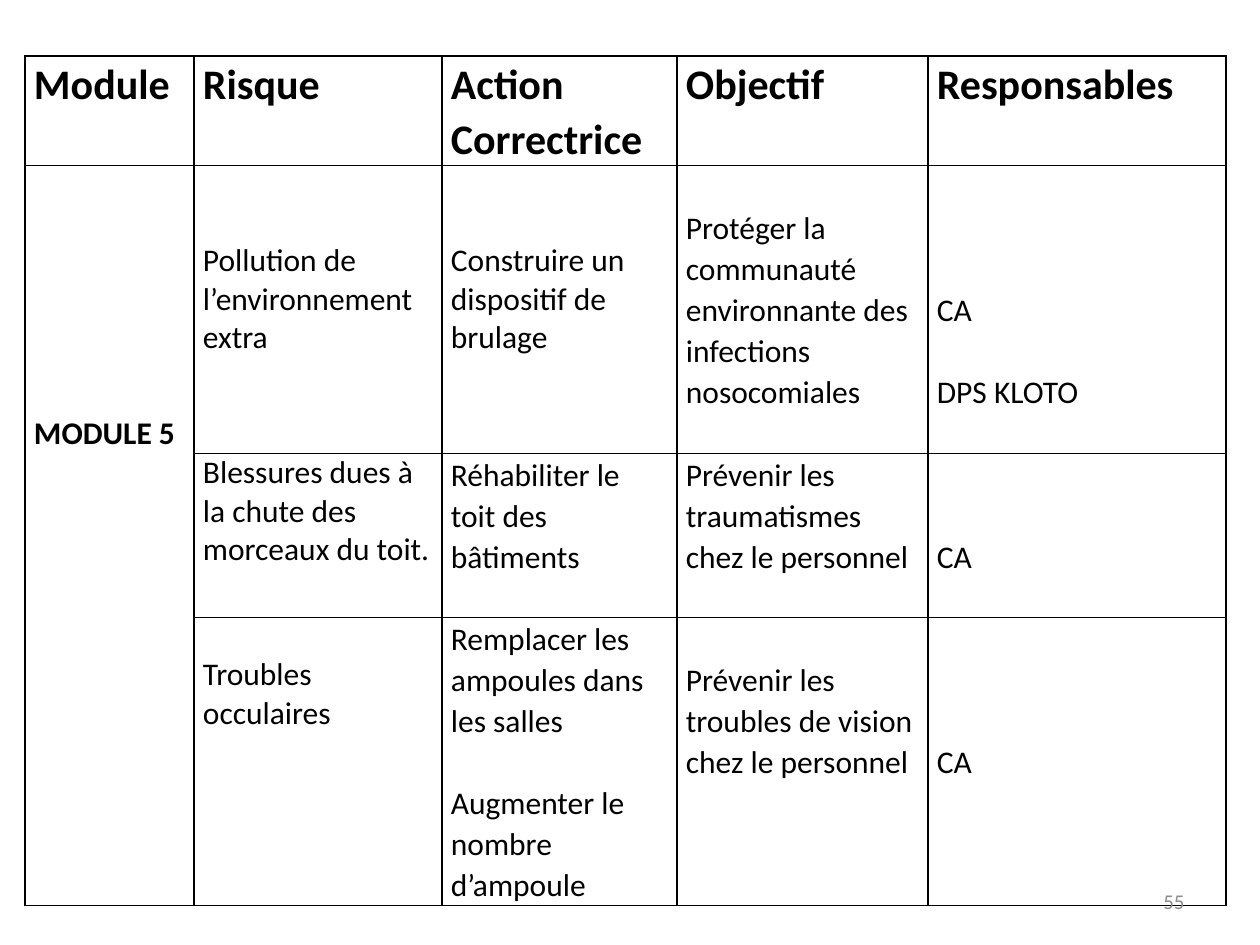
from lxml.etree import SubElement
from pptx import Presentation
from pptx.dml.color import RGBColor
from pptx.enum.text import MSO_ANCHOR, PP_ALIGN
from pptx.oxml.ns import qn
from pptx.util import Emu, Pt

SCALE = 914400 // 126
FONT = "Calibri"
BLACK, GREY = "000000", "8C8C8C"
LOOSE, TIGHT = 1.07, 1.0
LINE_HEIGHT = {LOOSE: 41, TIGHT: 38}
SIDE_MARGIN = 9

TABLE_LEFT, TABLE_TOP = 25, 56
COLUMN_WIDTHS = [169, 248, 235, 251, 298]
ROW_HEIGHTS = [109, 288, 164, 288]

HEADINGS = ["Module", "Risque", "Action Correctrice", "Objectif", "Responsables"]
MODULE = ("MODULE 5", 6, LOOSE)
# Each entry: paragraphs, lines left free above, line spacing
RISKS = [
    [
        (["Pollution de l’environnement extra"], 2, TIGHT),
        (["Construire un dispositif de brulage"], 2, TIGHT),
        (["Protéger la communauté environnante des infections nosocomiales"], 1, LOOSE),
        (["CA", "DPS KLOTO"], 3, LOOSE),
    ],
    [
        (["Blessures dues à la chute des morceaux du toit."], 0, TIGHT),
        (["Réhabiliter le toit des bâtiments"], 0, LOOSE),
        (["Prévenir les traumatismes chez le personnel"], 0, LOOSE),
        (["CA"], 2, LOOSE),
    ],
    [
        (["Troubles occulaires"], 1, TIGHT),
        (["Remplacer les ampoules dans les salles",
          "Augmenter le nombre d’ampoule"], 0, LOOSE),
        (["Prévenir les troubles de vision chez le personnel"], 1, LOOSE),
        (["CA"], 3, LOOSE),
    ],
]
PAGE_NUMBER = "55"


def px(length):
    return Emu(round(length * SCALE))


def color(value):
    return RGBColor.from_string(value)


def style(font, size, value, bold=False):
    font.name, font.size, font.bold = FONT, Pt(size), bold
    font.color.rgb = color(value)


def draw_borders(cell):
    properties = cell._tc.get_or_add_tcPr()
    for side in ("a:lnL", "a:lnR", "a:lnT", "a:lnB"):
        line = SubElement(properties, qn(side), w=str(Pt(1)))
        fill = SubElement(line, qn("a:solidFill"))
        SubElement(fill, qn("a:srgbClr"), val=BLACK)


def write_cell(cell, texts, lines_above=0, spacing=LOOSE, size=18, bold=False):
    cell.margin_left = cell.margin_right = px(SIDE_MARGIN)
    cell.margin_top, cell.margin_bottom = px(lines_above * LINE_HEIGHT[spacing]), 0
    cell.text_frame.text = "\n".join(texts)
    for index, para in enumerate(cell.text_frame.paragraphs):
        para.line_spacing = spacing
        if index:
            para.space_before = Pt(px(LINE_HEIGHT[spacing]).pt)
        for span in para.runs:
            style(span.font, size, BLACK, bold)


def add_risk_table(page):
    frame = page.shapes.add_table(
        len(ROW_HEIGHTS), len(COLUMN_WIDTHS), px(TABLE_LEFT), px(TABLE_TOP),
        px(sum(COLUMN_WIDTHS)), px(sum(ROW_HEIGHTS)))
    table = frame.table
    table.first_row = table.horz_banding = False
    for column, width in zip(table.columns, COLUMN_WIDTHS):
        column.width = px(width)
    for row, height in zip(table.rows, ROW_HEIGHTS):
        row.height = px(height)
    for cell in table.iter_cells():
        draw_borders(cell)
        cell.fill.background()

    for column, heading in enumerate(HEADINGS):
        write_cell(table.cell(0, column), [heading], size=24, bold=True)
    module_cell = table.cell(1, 0)
    module_cell.merge(table.cell(len(RISKS), 0))
    name, lines_above, spacing = MODULE
    write_cell(module_cell, [name], lines_above, spacing, bold=True)
    for row, entries in enumerate(RISKS, start=1):
        for column, entry in enumerate(entries, start=1):
            write_cell(table.cell(row, column), *entry)


def add_page_number(page):
    box = page.shapes.add_textbox(px(903), px(876), px(294), px(50))
    box.text_frame.word_wrap = True
    box.text_frame.vertical_anchor = MSO_ANCHOR.MIDDLE
    box.text_frame.text = PAGE_NUMBER
    para = box.text_frame.paragraphs[0]
    para.alignment = PP_ALIGN.RIGHT
    style(para.runs[0].font, 12, GREY)


def main():
    deck = Presentation()
    deck.slide_width, deck.slide_height = px(1260), px(945)
    page = deck.slides.add_slide(deck.slide_layouts[6])
    add_risk_table(page)
    add_page_number(page)
    deck.save("out.pptx")


if __name__ == "__main__":
    main()
